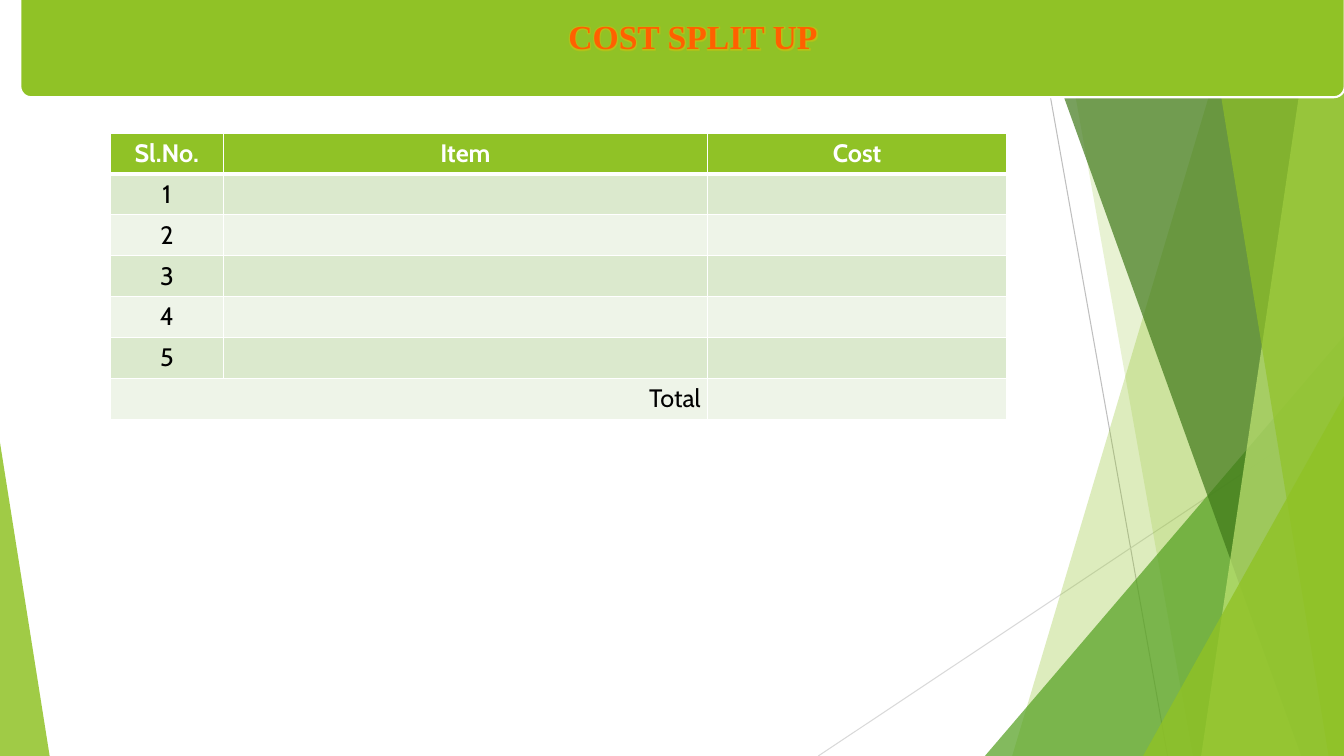
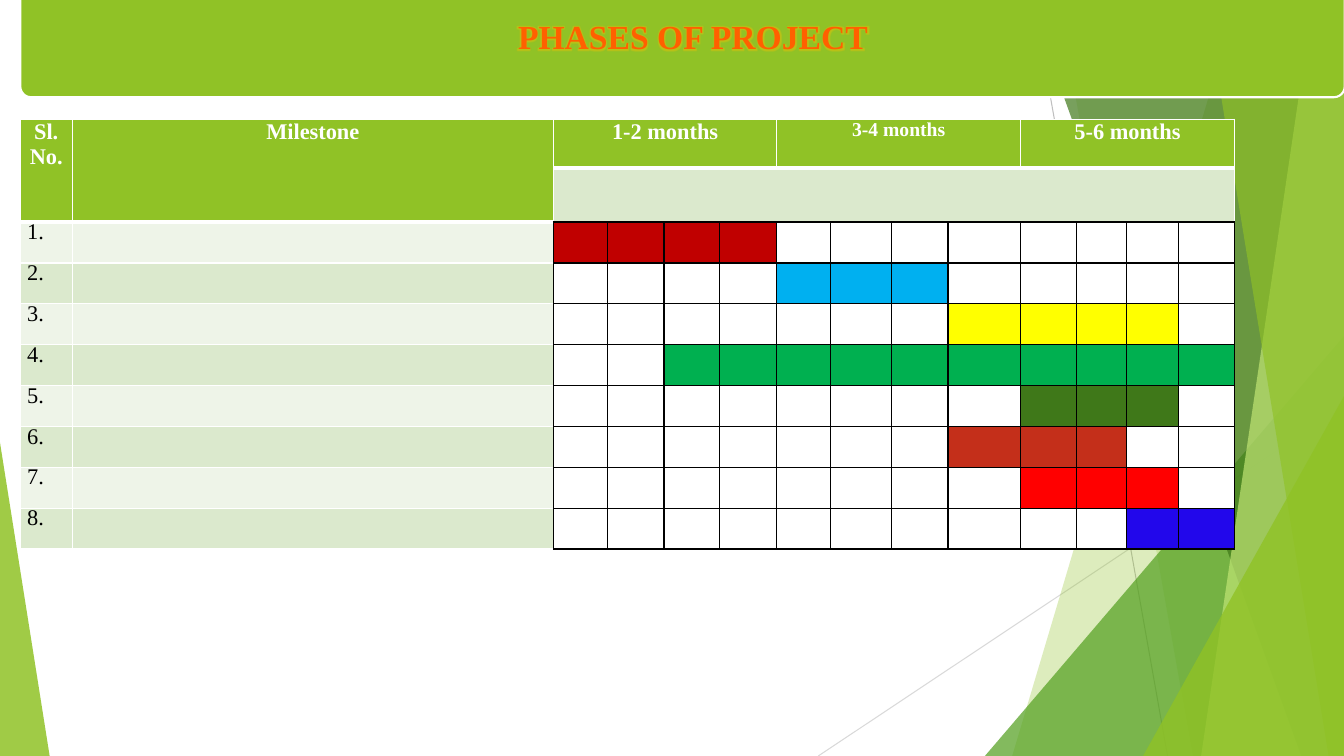
from lxml.etree import SubElement
from pptx import Presentation
from pptx.dml.color import RGBColor
from pptx.enum.shapes import MSO_CONNECTOR, MSO_SHAPE
from pptx.enum.text import MSO_ANCHOR, PP_ALIGN
from pptx.oxml import parse_xml
from pptx.oxml.ns import nsdecls, qn
from pptx.util import Pt

COLORS = {
    "white": "FFFFFF", "black": "000000", "lime": "90C226", "leaf": "54A021",
    "forest": "3F7819", "pale lime": "C0E474", "orange": "FF6000", "glow": "FFC000",
    "band dark": "DBE9CD", "band light": "EEF4E8", "gray": "BFBFBF", "light gray": "D9D9D9",
    "crimson": "C00000", "sky": "00B0F0", "yellow": "FFFF00", "green": "00B050",
    "brick": "C42F1A", "red": "FF0000", "blue": "2207EB",
}
WIDTH, HEIGHT = 960, 540
SERIF, SANS = "Times New Roman", "Cabin"
LINES = [("gray", 738, 0, 834, HEIGHT), ("light gray", WIDTH, 290, 584.5, HEIGHT)]
FACETS = [
    ("panel", "lime", 30, (884, 723)),
    ("panel", "lime", 20, (756, 852)),
    ("triangle", "leaf", 72, (703.5, 240, 256.5, 1)),
    ("panel", "forest", 70, (735, 929.5)),
    ("panel", "pale lime", 70, (938, 858)),
    ("panel", "lime", 65, (861, 949)),
    ("triangle", "lime", 80, (816.5, 283, 143.5, 1)),
    ("triangle", "lime", 85, (0, 316, 35.5, 0)),
]
TITLES = ["COST SPLIT UP", "PHASES OF PROJECT"]
ITEM_COLUMNS = [("Sl.No.", 80.5), ("Item", 346), ("Cost", 213.5)]
ITEM_COUNT = 5
MONTHS = [("1-2 months", 16), ("3-4 months", 14), ("5-6 months", 16)]
PHASE_WIDTHS = [37.2, 343.8, 38.3, 40.7, 39.8, 40.7, 38.3, 43.4, 40.7, 52, 39.8, 35.8, 37.2, 39.6]
PHASE_BARS = [
    ("crimson", 0, 3), ("sky", 4, 6), ("yellow", 7, 10), ("green", 2, 11),
    ("forest", 8, 10), ("brick", 7, 9), ("red", 8, 10), ("blue", 10, 11),
]
ROW_HEIGHT = 29.2
THIN, THICK, DARK = ("white", 1), ("white", 3), ("black", 1)


def paint(shape, color, opacity=100):
    shape.shadow.inherit = False
    shape.fill.solid()
    shape.fill.fore_color.rgb = RGBColor.from_string(COLORS[color])
    shape.line.fill.background()
    if opacity < 100:
        swatch = shape._element.spPr.find(qn("a:solidFill")).find(qn("a:srgbClr"))
        SubElement(swatch, qn("a:alpha"), val=str(opacity * 1000))


def style_cell(cell, fill, text="", color="black", size=18, font=SANS, bold=False,
               align=PP_ALIGN.CENTER, anchor=MSO_ANCHOR.TOP, spacing=None,
               left=THIN, right=THIN, top=THIN, bottom=THIN):
    layout = {"margin_left": Pt(5), "margin_right": Pt(5), "margin_top": 0,
              "margin_bottom": 0, "vertical_anchor": anchor, "text": text}
    for name, value in layout.items():
        setattr(cell, name, value)
    for paragraph in cell.text_frame.paragraphs:
        paragraph.alignment = align
        paragraph.line_spacing = spacing
        for name, value in {"name": font, "size": Pt(size), "bold": bold}.items():
            setattr(paragraph.font, name, value)
        paragraph.font.color.rgb = RGBColor.from_string(COLORS[color])
    cell.fill.solid()
    cell.fill.fore_color.rgb = RGBColor.from_string(COLORS[fill])
    edges = {"lnL": left, "lnR": right, "lnT": top, "lnB": bottom}
    for index, (tag, (edge_color, width)) in enumerate(edges.items()):
        cell._tc.get_or_add_tcPr().insert(index, parse_xml(
            f'<a:{tag} {nsdecls("a")} w="{Pt(width)}"><a:solidFill>'
            f'<a:srgbClr val="{COLORS[edge_color]}"/></a:solidFill></a:{tag}>'))


presentation = Presentation()
presentation.slide_width, presentation.slide_height = Pt(WIDTH), Pt(HEIGHT)
slides = []

for title in TITLES:
    slide = presentation.slides.add_slide(presentation.slide_layouts[6])
    slides.append(slide)
    for color, *ends in LINES:
        line = slide.shapes.add_connector(MSO_CONNECTOR.STRAIGHT, *map(Pt, ends))
        line.line.color.rgb = RGBColor.from_string(COLORS[color])
        line.line.width = Pt(0.75)
        SubElement(line._element.spPr, qn("a:effectLst"))
    for kind, color, opacity, place in FACETS:
        if kind == "panel":
            upper, lower = place
            builder = slide.shapes.build_freeform(Pt(upper), 0)
            corners = [(WIDTH, 0), (WIDTH, HEIGHT), (lower, HEIGHT)]
            builder.add_line_segments([(Pt(x), Pt(y)) for x, y in corners])
            facet = builder.convert_to_shape()
        else:
            left, top, width, apex = place
            facet = slide.shapes.add_shape(MSO_SHAPE.ISOSCELES_TRIANGLE, Pt(left), Pt(top),
                                           Pt(width), Pt(HEIGHT - top))
            facet.adjustments[0] = apex
        paint(facet, color, opacity)

    banner = slide.shapes.add_shape(MSO_SHAPE.ROUNDED_RECTANGLE, Pt(14.5), Pt(-7.5), Pt(946), Pt(77))
    banner.adjustments[0] = 0.1
    paint(banner, "lime")
    banner.line.color.rgb = RGBColor.from_string(COLORS["white"])
    banner.line.width = Pt(1.5)

    heading = slide.shapes.add_textbox(Pt(30), Pt(8), Pt(930), Pt(36))
    heading.text_frame.word_wrap = True
    paragraph = heading.text_frame.paragraphs[0]
    paragraph.alignment = PP_ALIGN.CENTER
    run = paragraph.add_run()
    run.text = title
    for name, value in {"name": SERIF, "size": Pt(24), "bold": True}.items():
        setattr(run.font, name, value)
    run.font.color.rgb = RGBColor.from_string(COLORS["orange"])
    run.font._element.find(qn("a:solidFill")).addnext(parse_xml(
        f'<a:effectLst {nsdecls("a")}><a:glow rad="{Pt(4)}"><a:srgbClr val="{COLORS["glow"]}">'
        '<a:alpha val="40000"/></a:srgbClr></a:glow></a:effectLst>'))

cost_slide, phase_slide = slides
row_count = ITEM_COUNT + 2
cost_table = cost_slide.shapes.add_table(row_count, len(ITEM_COLUMNS), Pt(79), Pt(95), Pt(640),
                                         Pt(ROW_HEIGHT * row_count)).table
cost_table.first_row = cost_table.horz_banding = False
for row in cost_table.rows:
    row.height = Pt(ROW_HEIGHT)
total_row = row_count - 1
cost_table.cell(total_row, 0).merge(cost_table.cell(total_row, 1))
for column, (label, width) in enumerate(ITEM_COLUMNS):
    cost_table.columns[column].width = Pt(width)
    style_cell(cost_table.cell(0, column), "lime", label, "white", bold=True,
               anchor=MSO_ANCHOR.MIDDLE, bottom=THICK)
    for row in range(1, row_count):
        cell = cost_table.cell(row, column)
        if cell.is_spanned:
            continue
        text, align = (str(row), PP_ALIGN.CENTER) if row < total_row else ("Total", PP_ALIGN.RIGHT)
        style_cell(cell, "band dark" if row % 2 else "band light", text if column == 0 else "",
                   align=align, anchor=MSO_ANCHOR.MIDDLE, top=THICK if row == 1 else THIN)

row_heights = [35, 38] + [ROW_HEIGHT] * len(PHASE_BARS)
phase_table = phase_slide.shapes.add_table(len(row_heights), len(PHASE_WIDTHS), Pt(14.4), Pt(85.2),
                                           Pt(sum(PHASE_WIDTHS)), Pt(sum(row_heights))).table
phase_table.first_row = phase_table.horz_banding = False
for row, height in zip(phase_table.rows, row_heights):
    row.height = Pt(height)
for column, width in zip(phase_table.columns, PHASE_WIDTHS):
    column.width = Pt(width)

headers = [(0, 0, 1, "Sl.\nNo.", 16), (1, 1, 1, "Milestone", 16)]
headers += [(2 + 4 * index, 5 + 4 * index, 0, label, size)
            for index, (label, size) in enumerate(MONTHS)]
for first, last, bottom_row, label, size in headers:
    cell = phase_table.cell(0, first)
    cell.merge(phase_table.cell(bottom_row, last))
    style_cell(cell, "lime", label, "white", size, SERIF, True, bottom=THICK)
phase_table.cell(1, 2).merge(phase_table.cell(1, 13))
style_cell(phase_table.cell(1, 2), "band dark", top=THICK, bottom=DARK)

for number, (color, start, end) in enumerate(PHASE_BARS, 1):
    row = number + 1
    band = "band light" if number % 2 else "band dark"
    top = THICK if number == 1 else THIN
    style_cell(phase_table.cell(row, 0), band, f"{number}.", size=16, font=SERIF,
               align=PP_ALIGN.JUSTIFY, spacing=0.89, top=top)
    style_cell(phase_table.cell(row, 1), band, right=DARK, top=top)
    for step in range(12):
        style_cell(phase_table.cell(row, step + 2), color if start <= step <= end else "white",
                   left=DARK, right=DARK, top=DARK, bottom=DARK)

presentation.save("out.pptx")
